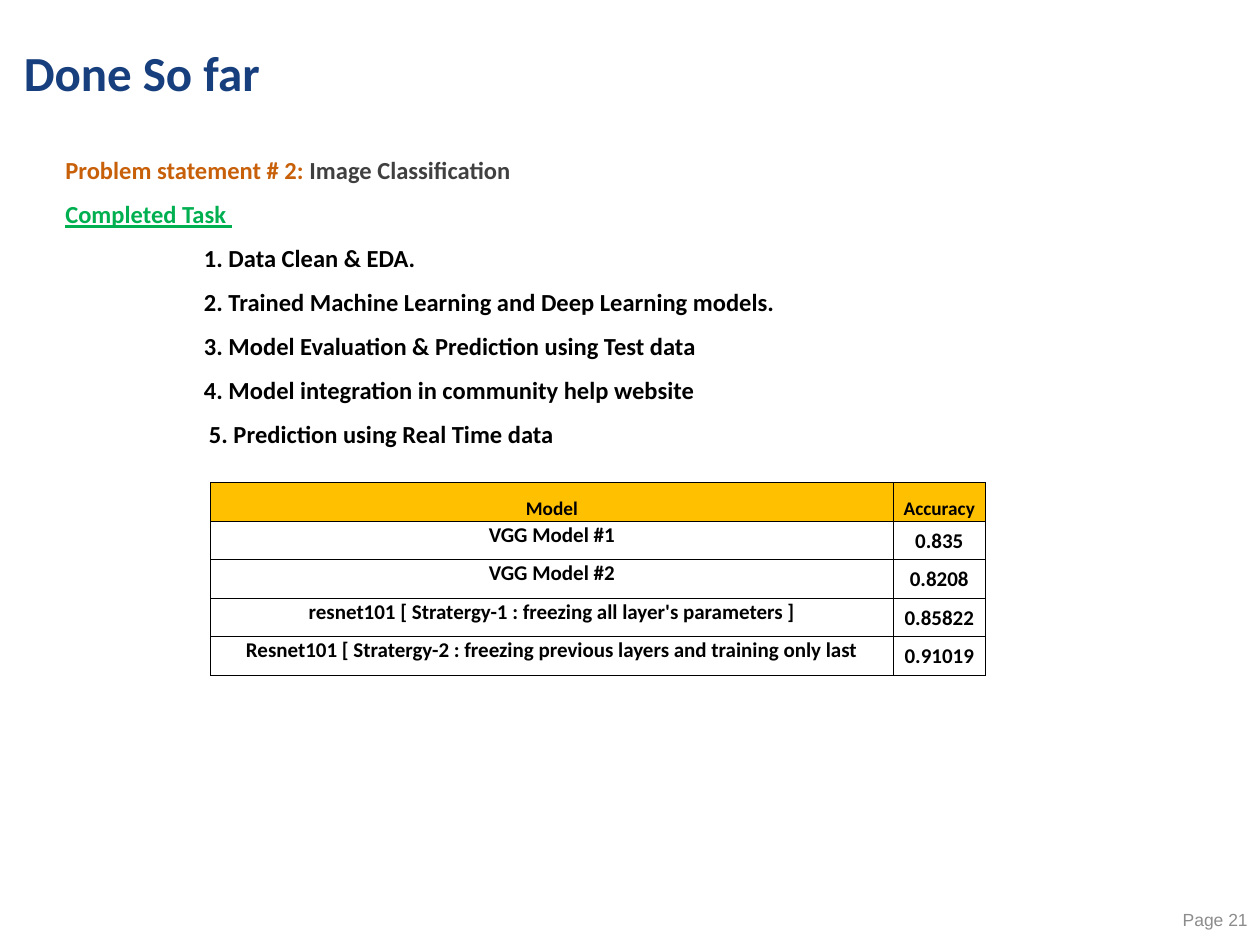
from lxml import etree
from pptx import Presentation
from pptx.dml.color import RGBColor
from pptx.enum import text
from pptx.oxml import ns
from pptx.util import Inches, Pt

BLACK = "000000"
TASKS = [
    "Data Clean & EDA.",
    "Trained Machine Learning and Deep Learning models.",
    "Model Evaluation & Prediction using Test data",
    "Model integration in community help website",
    "Prediction using Real Time data",
]
RESULTS = [
    ("Model", "Accuracy"),
    ("VGG Model #1", "0.835"),
    ("VGG Model #2", "0.8208"),
    ("resnet101 [ Stratergy-1 : freezing all layer's parameters ]", "0.85822"),
    ("Resnet101 [ Stratergy-2 : freezing previous layers and training only last", "0.91019"),
]


def color(value):
    """Return the colour for a hex string."""
    return RGBColor.from_string(value)


def style(font, size, value, name="Calibri", bold=True):
    """Set the face, size, colour and weight of a font."""
    font.name, font.size, font.bold = name, Pt(size), bold
    font.color.rgb = color(value)


def add_frame(page, left, top, width, height, anchor):
    """Add a wrapping text box and return its text frame."""
    box = page.shapes.add_textbox(Inches(left), Inches(top), Inches(width), Inches(height))
    frame = box.text_frame
    frame.word_wrap = True
    frame.vertical_anchor = anchor
    return frame


def add_title(page, left, top, width, height):
    """Add the slide title."""
    para = add_frame(page, left, top, width, height, text.MSO_ANCHOR.MIDDLE).paragraphs[0]
    para.text = "Done So far"
    para.line_spacing = 0.9
    style(para.font, 28, "173F7E")


def add_body(page, left, top, width, height):
    """Add the problem statement and the numbered tasks."""
    frame = add_frame(page, left, top, width, height, text.MSO_ANCHOR.TOP)
    lines = [
        [("Problem statement # 2: ", "C76009"), ("Image Classification", "404040")],
        [("Completed Task ", "00B050")],
    ]
    lines += [[(f"{number}. {task}", BLACK)] for number, task in enumerate(TASKS, 1)]
    for index, spans in enumerate(lines):
        para = frame.add_paragraph() if index else frame.paragraphs[0]
        para.alignment = text.PP_ALIGN.JUSTIFY
        para.line_spacing = 0.9
        para.space_before = Pt(10)
        for words, value in spans:
            span = para.add_run()
            span.text = words
            style(span.font, 14, value)
    frame.paragraphs[1].runs[0].font.underline = True
    for para in frame.paragraphs[2:]:
        para._p.get_or_add_pPr().set("marL", str(Inches(1.1)))
    frame.paragraphs[-1]._p.get_or_add_pPr().set("marL", str(Inches(1.14)))


def add_borders(cell):
    """Draw a thin black line on each side of a cell."""
    properties = cell._tc.get_or_add_tcPr()
    for index, side in enumerate(("lnL", "lnR", "lnT", "lnB")):
        line = etree.Element(ns.qn(f"a:{side}"), w=str(Pt(0.5)))
        fill = etree.SubElement(line, ns.qn("a:solidFill"))
        etree.SubElement(fill, ns.qn("a:srgbClr"), val=BLACK)
        properties.insert(index, line)


def add_results(page, left, top, width, height):
    """Add the table of model accuracies."""
    table = page.shapes.add_table(
        len(RESULTS), 2, Inches(left), Inches(top), Inches(width), Inches(height)
    ).table
    accuracy_width = 0.73
    table.columns[0].width = Inches(width - accuracy_width)
    table.columns[1].width = Inches(accuracy_width)
    for row, values in enumerate(RESULTS):
        for column, value in enumerate(values):
            cell = table.cell(row, column)
            cell.margin_left = cell.margin_right = cell.margin_top = Inches(0.01)
            cell.margin_bottom = 0
            if row == 0:
                cell.fill.solid()
                cell.fill.fore_color.rgb = color("FFC000")
                cell.vertical_anchor = text.MSO_ANCHOR.BOTTOM
            else:
                cell.fill.background()
                cell.vertical_anchor = text.MSO_ANCHOR.MIDDLE if column else text.MSO_ANCHOR.TOP
            para = cell.text_frame.paragraphs[0]
            para.text = value
            para.alignment = text.PP_ALIGN.CENTER
            style(para.font, 12 if row else 11, BLACK)
            add_borders(cell)


def add_page_number(page, left, top, width, height):
    """Add the page number in the corner."""
    para = add_frame(page, left, top, width, height, text.MSO_ANCHOR.MIDDLE).paragraphs[0]
    para.text = "Page 21"
    para.alignment = text.PP_ALIGN.RIGHT
    style(para.font, 10, "8C8C8C", "Arial", False)


def main():
    """Build the slide and save it."""
    deck = Presentation()
    deck.slide_width, deck.slide_height = Inches(10), Inches(7.5)
    page = deck.slides.add_slide(deck.slide_layouts[6])
    add_title(page, 0.09, 0.3, 7.22, 0.6)
    add_body(page, 0.42, 1.21, 9.21, 5.99)
    add_page_number(page, 8.75, 7.1, 1.25, 0.4)
    add_results(page, 1.67, 3.83, 6.15, 1.53)
    deck.save("out.pptx")


if __name__ == "__main__":
    main()
